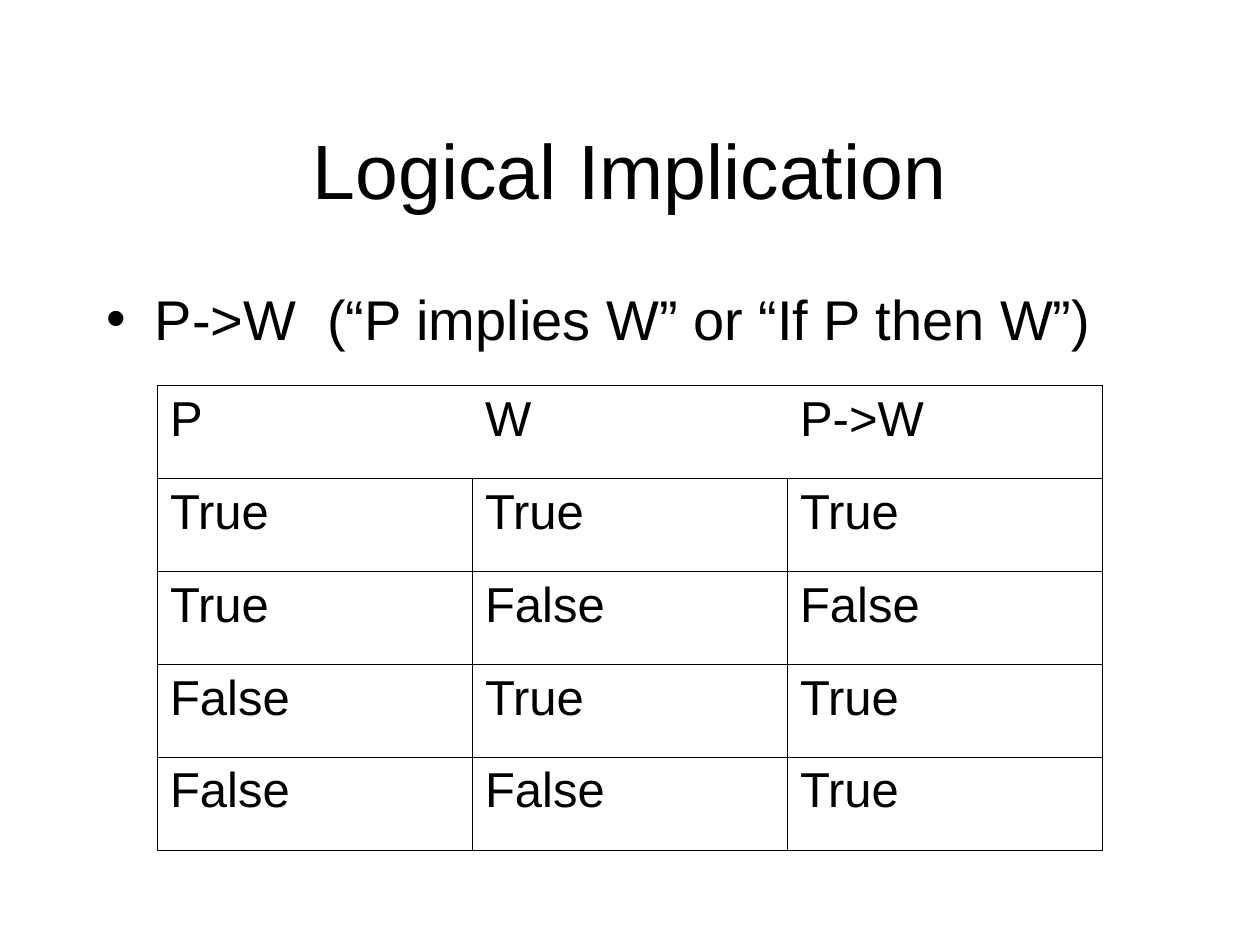
import pptx
import pptx.dml.color
import pptx.enum.text
import pptx.oxml
import pptx.oxml.ns
import pptx.util
from pptx.util import Inches

BLACK = pptx.dml.color.RGBColor(0, 0, 0)
OUTER_WIDTH = 1.08
INNER_WIDTH = 0.45
NO_STYLE_ID = "{2D5ABB26-0587-4C30-8999-92F81FD0307C}"
TRUTH_TABLE = [
    ("P", "W", "P->W"),
    ("True", "True", "True"),
    ("True", "False", "False"),
    ("False", "True", "True"),
    ("False", "False", "True"),
]


def drawing_element(tag, content="", **attributes):
    """Build a DrawingML element with the given attributes and inner XML."""
    listed = "".join(f' {name}="{value}"' for name, value in attributes.items())
    namespace = pptx.oxml.ns.nsdecls("a")
    return pptx.oxml.parse_xml(f"<a:{tag} {namespace}{listed}>{content}</a:{tag}>")


def format_font(font, size):
    """Apply the slide's typeface and colour at the given size."""
    for name, value in {"name": "Arial", "size": pptx.util.Pt(size)}.items():
        setattr(font, name, value)
    font.color.rgb = BLACK


def add_text(slide, bounds, text, size, frame_format):
    """Add one line of wrapped text and return its paragraph."""
    frame = slide.shapes.add_textbox(*map(Inches, bounds)).text_frame
    for name, value in {"word_wrap": True, **frame_format}.items():
        setattr(frame, name, value)
    paragraph = frame.paragraphs[0]
    paragraph.add_run().text = text
    format_font(paragraph.runs[0].font, size)
    return paragraph


def add_bullet(paragraph):
    """Give a paragraph a round bullet with a hanging indent."""
    properties = paragraph._p.get_or_add_pPr()
    properties.set("marL", str(Inches(0.38)))
    properties.set("indent", str(Inches(-0.38)))
    properties.append(drawing_element("buFont", typeface="Arial"))
    properties.append(drawing_element("buChar", char="•"))


def set_borders(cell, widths):
    """Draw the left, right, top and bottom borders, where 0 means none."""
    properties = cell._tc.get_or_add_tcPr()
    for index, (tag, width) in enumerate(zip(("lnL", "lnR", "lnT", "lnB"), widths)):
        paint = f'<a:solidFill><a:srgbClr val="{BLACK}"/></a:solidFill>'
        border = drawing_element(
            tag, paint if width else "<a:noFill/>", w=int(pptx.util.Pt(width))
        )
        properties.insert(index, border)


def add_truth_table(slide, bounds, rows):
    """Add the truth table with an outer frame and an undivided header."""
    row_count, column_count = len(rows), len(rows[0])
    frame = slide.shapes.add_table(row_count, column_count, *map(Inches, bounds))
    table = frame.table
    for name in ("first_row", "horz_banding"):
        setattr(table, name, False)
    table._tbl.tblPr.find(pptx.oxml.ns.qn("a:tableStyleId")).text = NO_STYLE_ID
    for row, values in enumerate(rows):
        divider = INNER_WIDTH if row else 0
        for column, value in enumerate(values):
            cell = table.cell(row, column)
            cell.text = value
            format_font(cell.text_frame.paragraphs[0].runs[0].font, 28)
            cell.fill.background()
            set_borders(cell, (
                divider if column else OUTER_WIDTH,
                divider if column < column_count - 1 else OUTER_WIDTH,
                INNER_WIDTH if row else OUTER_WIDTH,
                INNER_WIDTH if row < row_count - 1 else OUTER_WIDTH,
            ))


def main():
    """Build the logical implication slide."""
    presentation = pptx.Presentation()
    for name, value in {"slide_width": 10, "slide_height": 7.5}.items():
        setattr(presentation, name, Inches(value))
    slide = presentation.slides.add_slide(presentation.slide_layouts[6])
    title = add_text(
        slide, (0.75, 0.67, 8.5, 1.25), "Logical Implication", 44,
        {"vertical_anchor": pptx.enum.text.MSO_ANCHOR.MIDDLE,
         "margin_top": Inches(0.13)},
    )
    title.alignment = pptx.enum.text.PP_ALIGN.CENTER
    definition = add_text(
        slide, (0.75, 2.17, 8.5, 4.5),
        "P->W  (“P implies W” or “If P then W”)", 32,
        {"margin_top": Inches(0.09)},
    )
    add_bullet(definition)
    add_truth_table(slide, (1.25, 3.06, 7.5, 3.69), TRUTH_TABLE)
    presentation.save("out.pptx")


if __name__ == "__main__":
    main()
